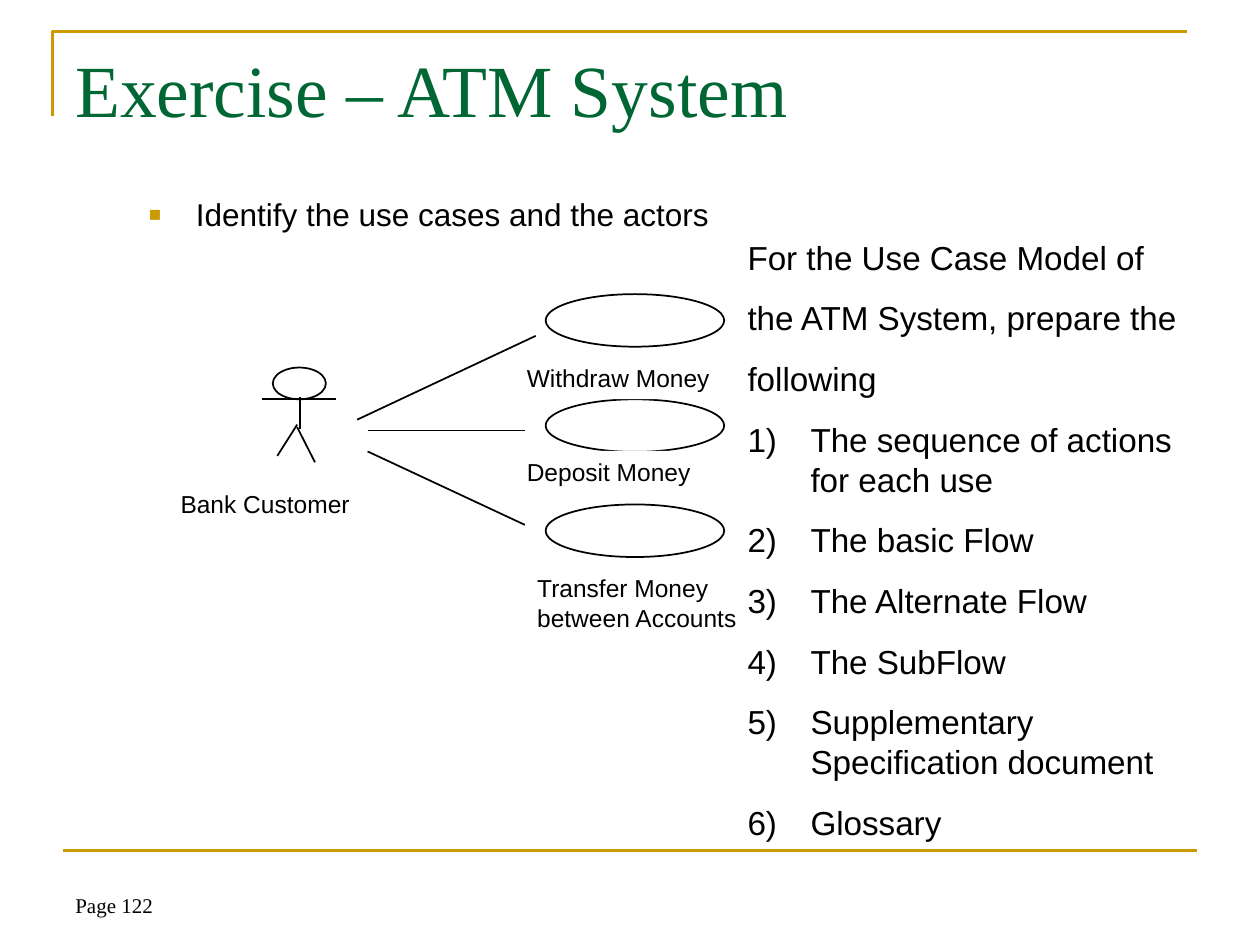
from lxml import etree
from pptx import Presentation
from pptx.dml.color import RGBColor as RGB
from pptx.enum.shapes import MSO_CONNECTOR as LINK, MSO_SHAPE as SHAPE
from pptx.enum.text import MSO_ANCHOR as ANCHOR
from pptx.oxml.ns import qn
from pptx.util import Cm, Pt

HUES = {"gold": "CC9900", "green": "006633", "ink": "000000", "paper": "FFFFFF"}
FORMS = {
    "title": {"size": Pt(42), "name": "Times New Roman", "hue": "green"},
    "body": {"size": Pt(18), "name": "Arial", "hue": "ink"},
    "label": {"size": Pt(14), "name": "Arial", "hue": "ink"},
    "task": {"size": Pt(19), "name": "Arial", "hue": "ink"},
    "page": {"size": Pt(12), "name": "Times New Roman", "hue": "ink"},
}

TITLE = "Exercise – ATM System"
POINT = "Identify the use cases and the actors"
PAGE = "Page 122"
INTRO = ["For the Use Case Model of", "the ATM System, prepare the", "following"]
TASKS = [
    "The sequence of actions for each use",
    "The basic Flow",
    "The Alternate Flow",
    "The SubFlow",
    "Supplementary Specification document",
    "Glossary",
]

# Lengths in centimetres
LABELS = [  # text, left, top, height
    ("Deposit Money", 10.37, 9.09, 0.86),
    ("Withdraw Money", 10.37, 7.19, 0.86),
    ("Transfer Money between Accounts", 10.58, 11.43, 1.45),
    ("Bank Customer", 3.39, 9.73, 0.86),
]
HEAD = (5.5, 7.41, 1.07, 0.64)
LIMBS = [  # from x, y, to x, y
    (5.29, 8.05, 6.78, 8.05),
    (6.05, 8.0, 6.05, 8.64),
    (5.99, 8.56, 5.59, 9.19),
    (5.99, 8.61, 6.35, 9.32),
]
CASE = {"left": 11, "top": 5.93, "wide": 3.6, "high": 1.06, "step": 2.12}
USES = [
    (7.2, 8.46, 10.8, 6.77),
    (7.41, 8.68, 10.58, 8.68),
    (7.41, 9.1, 10.58, 10.58),
]
FRAME = [(1.06, 2.33), (1.06, 0.63), (23.92, 0.63)]
RULE = (1.27, 17.15, 24.13, 17.15)


def tint(name):
    return RGB.from_string(HUES[name])


def stroke(item, hue, width):
    item.line.color.rgb = tint(hue)
    item.line.width = Pt(width)


def link(shapes, ends, hue="ink", width=1):
    line = shapes.add_connector(LINK.STRAIGHT, *map(Cm, ends))
    stroke(line, hue, width)
    etree.SubElement(line._element.spPr, qn("a:effectLst"))


def oval(shapes, box):
    item = shapes.add_shape(SHAPE.OVAL, *map(Cm, box))
    item.shadow.inherit = False
    item.fill.solid()
    item.fill.fore_color.rgb = tint("paper")
    stroke(item, "ink", 1)


def write(shapes, box, lines, form, gap=0, anchor=ANCHOR.TOP):
    """Add a text box and return it with its paragraphs."""
    item = shapes.add_textbox(*map(Cm, box))
    frame = item.text_frame
    frame.word_wrap = True
    frame.vertical_anchor = anchor
    for n, text in enumerate(lines):
        par = frame.paragraphs[0] if n == 0 else frame.add_paragraph()
        par.space_before = Pt(gap if n else 0)
        run = par.add_run()
        run.text = text
        for key, value in FORMS[form].items():
            if key == "hue":
                run.font.color.rgb = tint(value)
            else:
                setattr(run.font, key, value)
    return item, frame.paragraphs


def hang(par, depth, hue=None, marks=()):
    """Give a paragraph a hanging indent and, if marks are given, a bullet."""
    props = par._p.get_or_add_pPr()
    props.set("marL", str(Cm(depth)))
    props.set("indent", str(-Cm(depth)))
    if marks:
        color = etree.SubElement(props, qn("a:buClr"))
        etree.SubElement(color, qn("a:srgbClr"), val=HUES[hue])
    for tag, attrs in marks:
        etree.SubElement(props, qn(tag), **attrs)


SQUARE = [
    ("a:buSzPct", {"val": "65000"}),
    ("a:buFont", {"typeface": "Arial"}),
    ("a:buChar", {"char": "■"}),
]
NUMBER = [
    ("a:buFont", {"typeface": "Arial"}),
    ("a:buAutoNum", {"type": "arabicParenR"}),
]


def main():
    deck = Presentation()
    deck.slide_width, deck.slide_height = Cm(25.4), Cm(19.05)
    shapes = deck.slides.add_slide(deck.slide_layouts[6]).shapes

    start, *rest = [(Cm(x), Cm(y)) for x, y in FRAME]
    pen = shapes.build_freeform(*start)
    pen.add_line_segments(rest, close=False)
    edge = pen.convert_to_shape()
    edge.shadow.inherit = False
    edge.fill.background()
    stroke(edge, "gold", 1.5)
    link(shapes, RULE, "gold", 1.5)

    write(shapes, (1.27, 17.35, 5.92, 1.27), [PAGE], "page", anchor=ANCHOR.BOTTOM)
    write(shapes, (1.27, 0.76, 22.86, 3.18), [TITLE], "title")
    _, pars = write(shapes, (2.75, 3.81, 21.79, 1.07), [POINT], "body")
    hang(pars[0], 0.95, "gold", SQUARE)

    model = shapes.add_group_shape().shapes
    oval(model, HEAD)
    for ends in LIMBS:
        link(model, ends)
    for n in range(3):
        top = CASE["top"] + n * CASE["step"]
        oval(model, (CASE["left"], top, CASE["wide"], CASE["high"]))
    for text, left, top, high in LABELS:
        item, _ = write(model, (left, top, 5.28, high), [text], "label")
        item.fill.solid()
        item.fill.fore_color.rgb = tint("paper")
    for ends in USES:
        link(model, ends)

    _, pars = write(shapes, (14.82, 4.65, 9.53, 12.45), INTRO + TASKS, "task", gap=11.9)
    for n, par in enumerate(pars):
        hang(par, 1.27, "ink", NUMBER if n >= len(INTRO) else ())

    deck.save("out.pptx")


if __name__ == "__main__":
    main()
